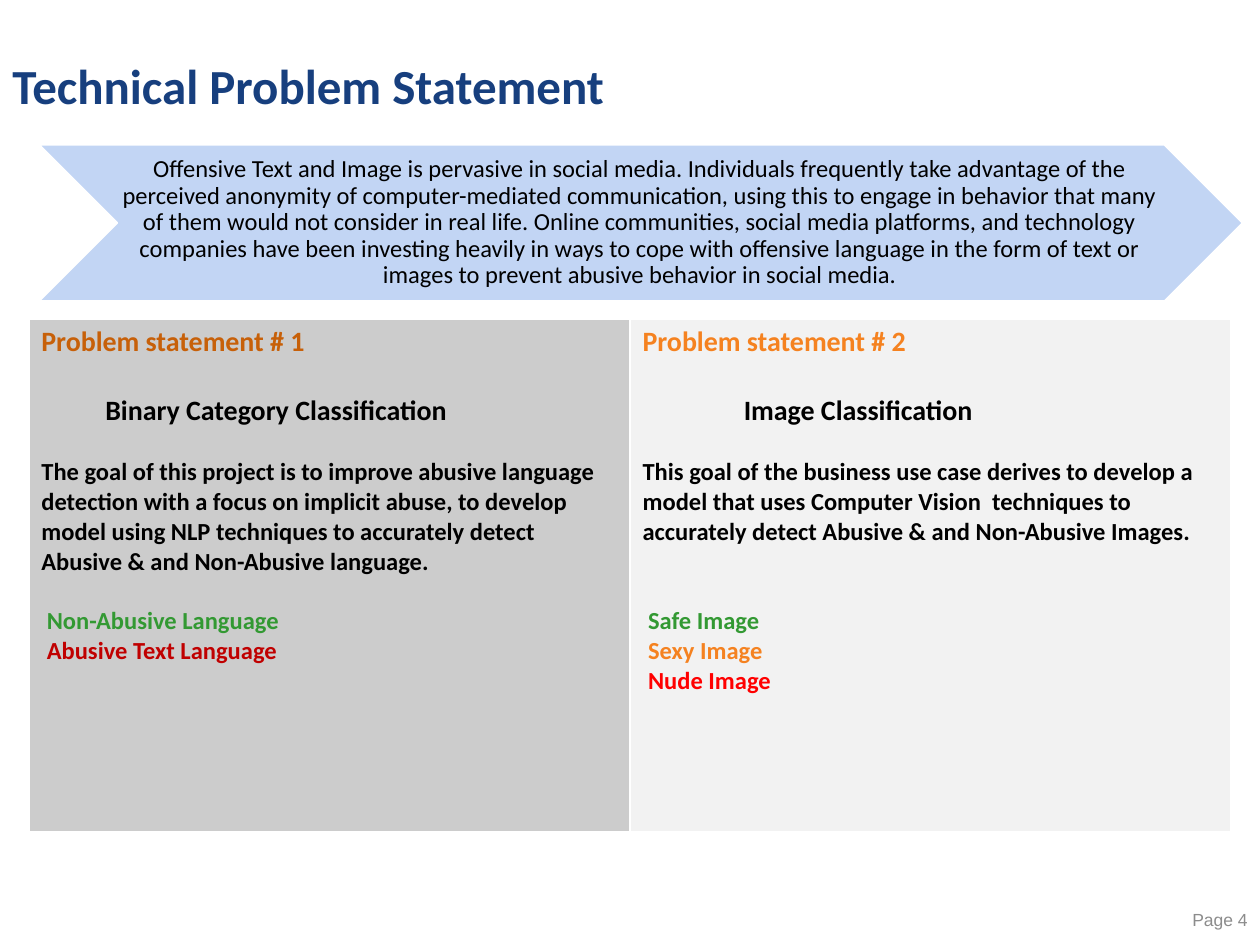
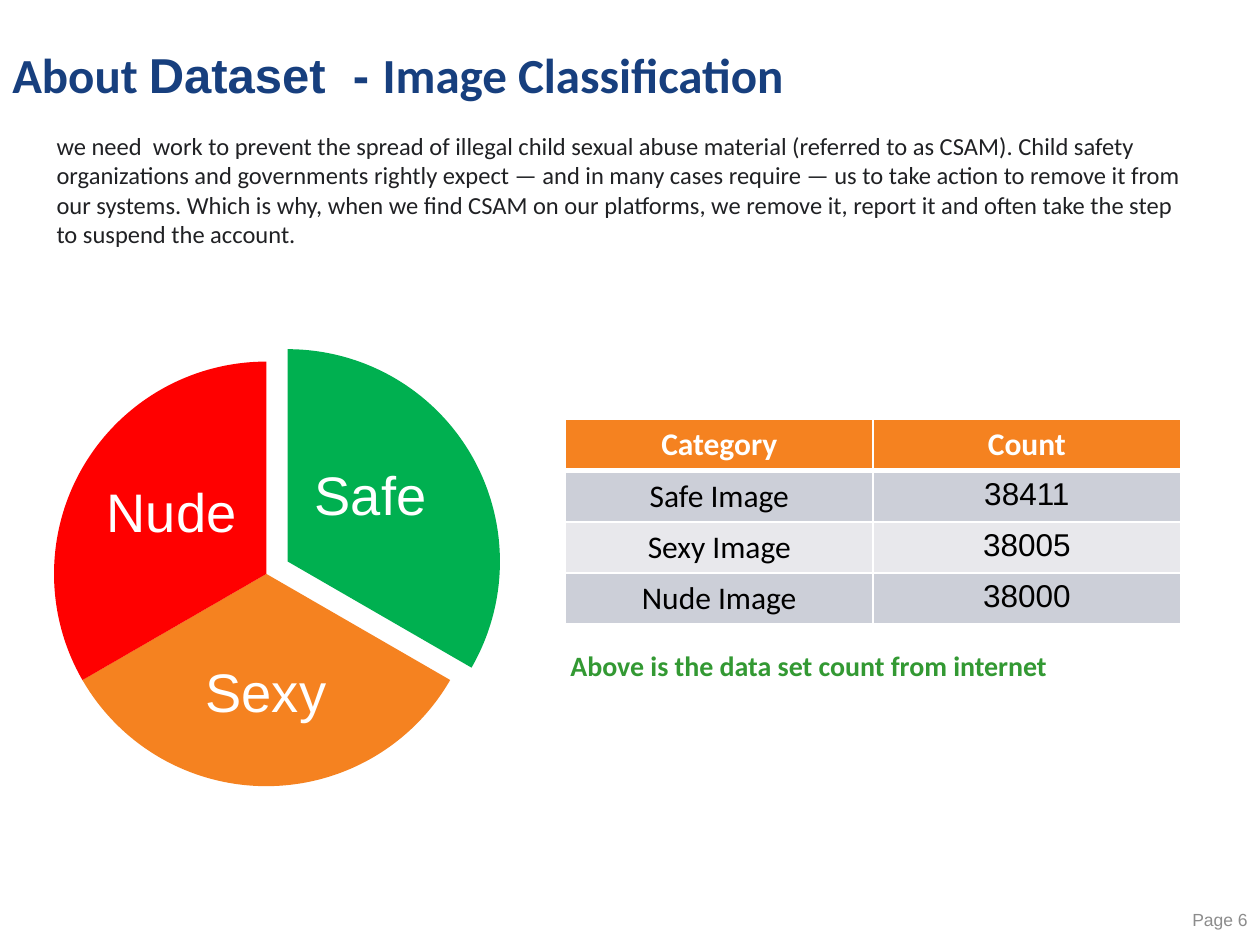
from dataclasses import dataclass

from lxml import etree
from pptx import Presentation, util as u
from pptx.dml.color import RGBColor
from pptx.enum import shapes, text
from pptx.oxml import ns

WHITE = RGBColor(0xFF, 0xFF, 0xFF)
BLACK = RGBColor(0x00, 0x00, 0x00)
INK = RGBColor(0x20, 0x21, 0x24)
NAVY = RGBColor(0x17, 0x3F, 0x7E)
PALE_BLUE = RGBColor(0xC2, 0xD5, 0xF4)
FOOTER_GREY = RGBColor(0x8C, 0x8C, 0x8C)
ORANGE = RGBColor(0xF5, 0x82, 0x20)
DARK_ORANGE = RGBColor(0xC7, 0x60, 0x09)
GREEN = RGBColor(0x33, 0x99, 0x33)
PIE_GREEN = RGBColor(0x00, 0xB0, 0x50)
RED = RGBColor(0xFF, 0x00, 0x00)
DARK_RED = RGBColor(0xC0, 0x00, 0x00)
PANEL_DARK = RGBColor(0xCC, 0xCC, 0xCC)
PANEL_LIGHT = RGBColor(0xF2, 0xF2, 0xF2)
ROW_DARK = RGBColor(0xCC, 0xCF, 0xD8)
ROW_LIGHT = RGBColor(0xE8, 0xE8, 0xEC)

BODY_FONT = "Calibri"
PLAIN_FONT = "Arial"
LEFT = text.PP_ALIGN.LEFT
CENTER = text.PP_ALIGN.CENTER
RIGHT = text.PP_ALIGN.RIGHT
TOP = text.MSO_ANCHOR.TOP
MIDDLE = text.MSO_ANCHOR.MIDDLE
HEADING_LINE = 19.5
BODY_LINE = 17


@dataclass(frozen=True)
class Area:
    left: float
    top: float
    width: float
    height: float

    def lengths(self):
        return [u.Cm(n) for n in (self.left, self.top, self.width, self.height)]


@dataclass(frozen=True)
class Panel:
    heading: str
    heading_color: RGBColor
    subject: str
    subject_indent: float
    goal: str
    gap_lines: int
    labels: tuple
    fill: RGBColor


@dataclass(frozen=True)
class Slice:
    label: str
    color: RGBColor
    pie_left: float
    pie_top: float
    start: int
    label_area: Area


PANELS = (
    Panel("Problem statement # 1", DARK_ORANGE, "Binary Category Classification", 1.29,
          "The goal of this project is to improve abusive language detection with a focus on "
          "implicit abuse, to develop model using NLP techniques to accurately detect "
          "Abusive & and Non-Abusive language.", 1,
          (("Non-Abusive Language", GREEN), ("Abusive Text Language", DARK_RED)), PANEL_DARK),
    Panel("Problem statement # 2", ORANGE, "Image Classification", 2.04,
          "This goal of the business use case derives to develop a model that uses Computer "
          "Vision  techniques to accurately detect Abusive & and Non-Abusive Images.", 2,
          (("Safe Image", GREEN), ("Sexy Image", ORANGE), ("Nude Image", RED)), PANEL_LIGHT),
)

PIE_SIZE = 8.56
SLICE_DEGREES = 120
SLICES = (
    Slice("Safe", PIE_GREEN, 1.52, 7.04, 270, Area(6.02, 8.61, 2.9, 2.84)),
    Slice("Sexy", ORANGE, 1.09, 7.29, 30, Area(3.43, 12.7, 3.86, 2.64)),
    Slice("Nude", RED, 1.09, 7.29, 150, Area(2.01, 8.97, 2.9, 2.84)),
)

COUNTS = (("Safe Image", "38411"), ("Sexy Image", "38005"), ("Nude Image", "38000"))


def write(frame, *spans, size: float, color: RGBColor, font: str = BODY_FONT,
          bold: bool = False, align=LEFT, spacing: float = 1.0,
          before: float = 0, indent: float = 0):
    para = frame.paragraphs[0]
    if para.runs:
        para = frame.add_paragraph()
    para.alignment = align
    para.line_spacing = spacing
    para.space_before = u.Pt(before)
    if indent:
        para._p.get_or_add_pPr().set("marL", str(u.Cm(indent)))
    for words, typeface in spans:
        span = para.add_run()
        span.text = words
        span.font.name = typeface or font
        span.font.size = u.Pt(size)
        span.font.bold = bold
        span.font.color.rgb = color


def plain(words: str):
    return words, None


def add_frame(page, area: Area, anchor=TOP, margin: float | None = None):
    frame = page.shapes.add_textbox(*area.lengths()).text_frame
    frame.word_wrap = True
    frame.vertical_anchor = anchor
    if margin is not None:
        frame.margin_left = frame.margin_right = u.Cm(margin)
        frame.margin_top = frame.margin_bottom = u.Cm(margin)
    return frame


def add_filled(page, kind, area: Area, color: RGBColor):
    shape = page.shapes.add_shape(kind, *area.lengths())
    shape.shadow.inherit = False
    shape.fill.solid()
    shape.fill.fore_color.rgb = color
    shape.line.fill.background()
    return shape


def style_cell(cell, fill: RGBColor, bottom: float = 1, top: float = 1) -> None:
    properties = cell._tc.get_or_add_tcPr()
    for side, width in (("L", 1), ("R", 1), ("T", top), ("B", bottom)):
        line = etree.SubElement(properties, ns.qn(f"a:ln{side}"), w=str(u.Pt(width)))
        solid = etree.SubElement(line, ns.qn("a:solidFill"))
        etree.SubElement(solid, ns.qn("a:srgbClr"), val=str(WHITE))
    cell.fill.solid()
    cell.fill.fore_color.rgb = fill


def add_page(deck, title, title_top: float, number: int):
    page = deck.slides.add_slide(deck.slide_layouts[6])
    heading = add_frame(page, Area(0, title_top, 18.34, 1.52), MIDDLE)
    write(heading, *title, size=28, color=NAVY, bold=True, spacing=0.9)
    footer = add_frame(page, Area(22.22, 18.03, 3.18, 1.02), MIDDLE)
    write(footer, plain(f"Page {number}"), size=10, color=FOOTER_GREY,
          font=PLAIN_FONT, align=RIGHT)
    return page


def fill_panel(cell, panel: Panel) -> None:
    style_cell(cell, panel.fill, bottom=3)
    frame = cell.text_frame
    write(frame, plain(panel.heading), size=16, color=panel.heading_color, bold=True)
    write(frame, plain(panel.subject), size=16, color=BLACK, bold=True,
          before=HEADING_LINE, indent=panel.subject_indent)
    write(frame, plain(panel.goal), size=14, color=BLACK, bold=True, before=BODY_LINE)
    for row, (label, color) in enumerate(panel.labels):
        write(frame, plain(label), size=14, color=color, bold=True, indent=0.11,
              before=0 if row else BODY_LINE * panel.gap_lines)


def build_problem(deck) -> None:
    page = add_page(deck, [plain("Technical Problem Statement")], 1.02, 4)
    banner = add_filled(page, shapes.MSO_SHAPE.CHEVRON, Area(0.79, 2.92, 24.26, 3.15), PALE_BLUE)
    banner.line.color.rgb = WHITE
    banner.line.width = u.Pt(1)
    summary = add_frame(page, Area(2.36, 2.92, 21.08, 3.15), MIDDLE, margin=0.03)
    write(summary, plain(
        "Offensive Text and Image is pervasive in social media. Individuals frequently take "
        "advantage of the perceived anonymity of computer-mediated communication, using this "
        "to engage in behavior that many of them would not consider in real life. Online "
        "communities, social media platforms, and technology companies have been investing "
        "heavily in ways to cope with offensive language in the form of text or images to "
        "prevent abusive behavior in social media."),
        size=14, color=BLACK, align=CENTER, spacing=0.9)
    area = Area(0.58, 6.43, 24.24, 10.36)
    table = page.shapes.add_table(1, len(PANELS), *area.lengths()).table
    for column, panel in enumerate(PANELS):
        fill_panel(table.cell(0, column), panel)


def add_slice(page, part: Slice) -> None:
    area = Area(part.pie_left, part.pie_top, PIE_SIZE, PIE_SIZE)
    pie = add_filled(page, shapes.MSO_SHAPE.PIE, area, part.color)
    end = (part.start + SLICE_DEGREES) % 360
    for index, degrees in enumerate((part.start, end)):
        pie.adjustments[index] = degrees * 0.6
    label = add_frame(page, part.label_area, MIDDLE, margin=0.1)
    write(label, plain(part.label), size=31, color=WHITE, font=PLAIN_FONT,
          align=CENTER, spacing=0.9)


def add_counts(page) -> None:
    area = Area(11.4, 8.46, 12.4, 4.12)
    rows = (("Category", "Count"), *COUNTS)
    table = page.shapes.add_table(len(rows), 2, *area.lengths()).table
    for row, values in enumerate(rows):
        header = row == 0
        fill = ORANGE if header else ROW_DARK if row % 2 else ROW_LIGHT
        for column, value in enumerate(values):
            cell = table.cell(row, column)
            style_cell(cell, fill, bottom=3 if header else 1, top=3 if row == 1 else 1)
            write(cell.text_frame, plain(value), size=18, bold=header, align=CENTER,
                  color=WHITE if header else BLACK,
                  font=PLAIN_FONT if column and not header else BODY_FONT)


def build_dataset(deck) -> None:
    title = [plain("About "), ("Dataset  - ", PLAIN_FONT), plain("Image Classification")]
    page = add_page(deck, title, 0.81, 6)
    for part in SLICES:
        add_slice(page, part)
    purpose = add_frame(page, Area(0.89, 2.51, 23.19, 2.64))
    write(purpose, plain(
        "we need  work to prevent the spread of illegal child sexual abuse material (referred "
        "to as CSAM). Child safety organizations and governments rightly expect — and in many "
        "cases require — us to take action to remove it from our systems. Which is why, when "
        "we find CSAM on our platforms, we remove it, report it and often take the step to "
        "suspend the account."), size=14, color=INK)
    add_counts(page)
    caption = add_frame(page, Area(11.25, 12.95, 12.7, 0.94))
    write(caption, plain("Above is the data set count from internet"),
          size=16, color=GREEN, bold=True)


def main() -> None:
    deck = Presentation()
    deck.slide_width = u.Cm(25.4)
    deck.slide_height = u.Cm(19.05)
    build_problem(deck)
    build_dataset(deck)
    deck.save("out.pptx")


if __name__ == "__main__":
    main()
